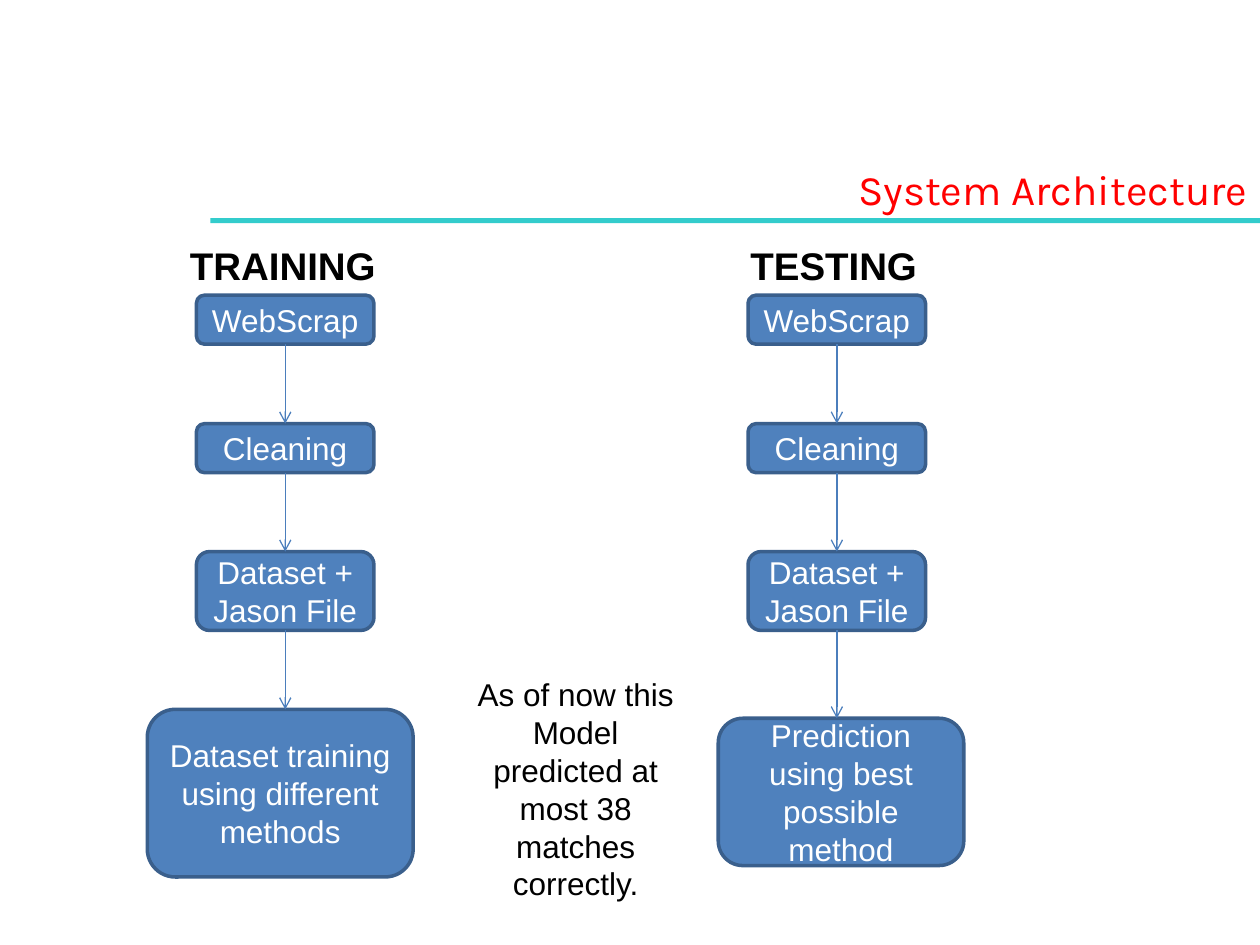
import pptx
import pptx.dml.color
import pptx.enum.shapes
import pptx.enum.text
import pptx.oxml
import pptx.oxml.ns
import pptx.util

Cm, Pt = pptx.util.Cm, pptx.util.Pt
RGB = pptx.dml.color.RGBColor.from_string
SHAPES = pptx.enum.shapes.MSO_SHAPE
ALIGN = pptx.enum.text.PP_ALIGN
ANCHOR = pptx.enum.text.MSO_ANCHOR
COLORS = {
    "rule": "33CCCC", "title": "FF0000", "text": "000000", "box_text": "FFFFFF",
    "box": "4F81BD", "box_line": "3A5F8C", "arrow": "4B7EBC",
}

presentation = pptx.Presentation()
presentation.slide_width, presentation.slide_height = Cm(25.4), Cm(19.05)
slide = presentation.slides.add_slide(presentation.slide_layouts[6])


def write_text(shape, text, color, size=18, font="Arial", align=ALIGN.CENTER,
               anchor=ANCHOR.TOP, bold=False):
    frame = shape.text_frame
    frame.word_wrap = True
    frame.vertical_anchor = anchor
    frame.text = text
    paragraph = frame.paragraphs[0]
    paragraph.alignment = align
    run_font = paragraph.runs[0].font
    run_font.name, run_font.size, run_font.bold = font, Pt(size), bold
    run_font.color.rgb = RGB(COLORS[color])


def add_block(kind, left, top, width, height, fill):
    """Add a filled shape without outline or shadow; lengths in cm."""
    shape = slide.shapes.add_shape(kind, Cm(left), Cm(top), Cm(width), Cm(height))
    shape.shadow.inherit = False
    shape.fill.solid()
    shape.fill.fore_color.rgb = RGB(COLORS[fill])
    shape.line.fill.background()
    return shape


# Heading
add_block(SHAPES.RECTANGLE, 4.24, 4.4, 21.16, 0.1, "rule")
title = slide.shapes.add_textbox(Cm(3.81), Cm(3.18), Cm(21.59), Cm(1.27))
write_text(title, "System Architecture", "title", 24, "Karla", ALIGN.RIGHT)

# Two flows: heading, heading left, centre, last box (text, left, top, width, height)
flows = [
    ("TRAINING", 3.58, 5.75,
     ("Dataset training using different methods", 2.97, 14.3, 5.36, 3.38)),
    ("TESTING", 14.88, 16.87,
     ("Prediction using best possible method", 14.48, 14.48, 4.95, 2.97)),
]
step_width = 3.58
shared_steps = [
    ("WebScrap", 5.95, 0.99),
    ("Cleaning", 8.54, 0.99),
    ("Dataset + Jason File", 11.12, 1.59),
]

for heading, heading_left, center, last_step in flows:
    heading_box = slide.shapes.add_textbox(
        Cm(heading_left), Cm(4.75), Cm(4.57), Cm(1.19))
    write_text(heading_box, heading, "text", 22, align=ALIGN.LEFT, bold=True)

    steps = [(text, center - step_width / 2, top, step_width, height)
             for text, top, height in shared_steps] + [last_step]
    for text, left, top, width, height in steps:
        box = add_block(SHAPES.ROUNDED_RECTANGLE, left, top, width, height, "box")
        box.line.color.rgb = RGB(COLORS["box_line"])
        box.line.width = Pt(2)
        write_text(box, text, "box_text", anchor=ANCHOR.MIDDLE)

    for upper, lower in zip(steps, steps[1:]):
        arrow = slide.shapes.add_connector(
            pptx.enum.shapes.MSO_CONNECTOR.STRAIGHT,
            Cm(center), Cm(upper[2] + upper[4]), Cm(center), Cm(lower[2]))
        arrow.line.color.rgb = RGB(COLORS["arrow"])
        arrow.line.width = Pt(0.75)
        tail = pptx.oxml.parse_xml(
            f'<a:tailEnd {pptx.oxml.ns.nsdecls("a")} type="arrow"/>')
        arrow.line._get_or_add_ln().append(tail)
        effects = pptx.oxml.parse_xml(f'<a:effectLst {pptx.oxml.ns.nsdecls("a")}/>')
        arrow._element.spPr.append(effects)

# Result note between the flows
note = slide.shapes.add_textbox(Cm(9.32), Cm(13.49), Cm(4.57), Cm(4.88))
write_text(note, "As of now this Model predicted at most 38 matches correctly.", "text")

presentation.save("out.pptx")
